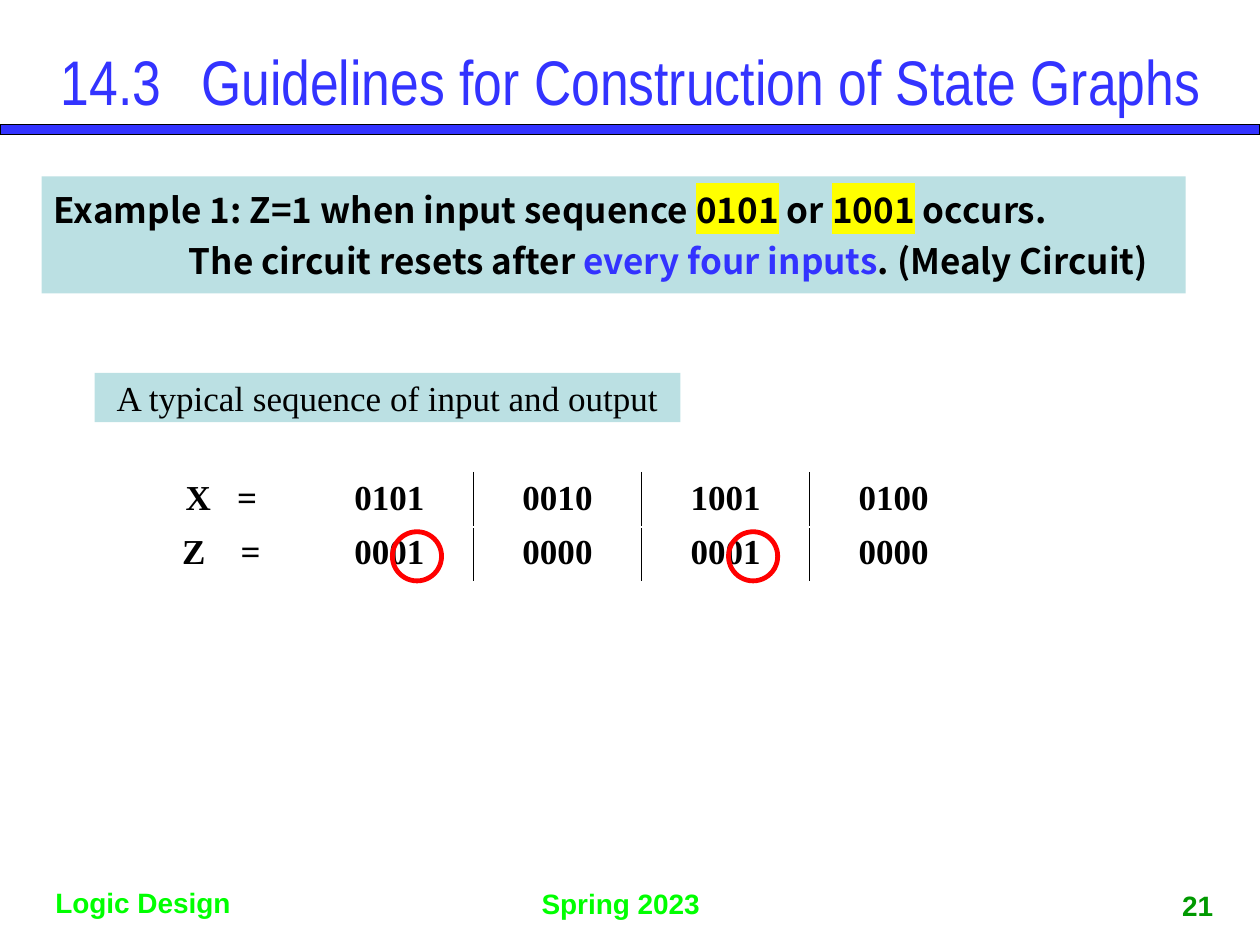
from lxml import etree
from pptx import Presentation
from pptx.dml.color import RGBColor
from pptx.enum import shapes, text
from pptx.oxml import ns
from pptx.util import Inches, Pt

BLUE = RGBColor(0x33, 0x33, 0xFF)
TEAL = RGBColor(0xBB, 0xE0, 0xE3)
BLACK = RGBColor(0, 0, 0)
RED = RGBColor(0xFF, 0, 0)
LIME = RGBColor(0, 0xFF, 0)
GREEN = RGBColor(0, 0x99, 0)
YELLOW = "FFFF00"
SERIF, SANS = "Times New Roman", "Arial"
LEFT, CENTER = text.PP_ALIGN.LEFT, text.PP_ALIGN.CENTER
TOP, MIDDLE, BOTTOM = (text.MSO_ANCHOR.TOP, text.MSO_ANCHOR.MIDDLE,
                       text.MSO_ANCHOR.BOTTOM)

# Content
TITLE = "14.3\t Guidelines for Construction of State Graphs"
EXAMPLE = [  # one list of (text, style) per line
    [("Example 1: Z=1 when input sequence ", None), ("0101", "mark"),
     (" or ", None), ("1001", "mark"), (" occurs.", None)],
    [("The circuit resets after ", None), ("every four inputs", "blue"),
     (". (Mealy Circuit)", None)],
]
CAPTION = "A typical sequence of input and output"
SEQUENCES = [
    ["X   =", "0101", "0010", "1001", "0100"],
    ["Z    =", "0001", "0000", "0001", "0000"],
]
HIT_COLUMNS = [1, 3]
FOOTERS = [  # text, box, alignment, anchor, colour
    ("Logic Design", (0.27, 6.98, 1.73, 0.37), CENTER, TOP, LIME),
    ("Spring 2023", (4.2, 6.99, 1.59, 0.37), LEFT, TOP, LIME),
    ("21", (9.13, 6.9, 0.75, 0.47), CENTER, BOTTOM, GREEN),
]
TABLE_X, TABLE_Y, COL_W, ROW_H = 1.09, 3.75, 1.334, 0.43
RING = 0.39


def inches(*values):
    return [Inches(v) for v in values]


def style(p, font, size, color, bold=False, align=LEFT):
    p.alignment = align
    p.font.name, p.font.size, p.font.bold = font, Pt(size), bold
    p.font.color.rgb = color


def add_shape(s, kind, box, fill=None, line=None, width=0.75):
    sp = s.shapes.add_shape(kind, *inches(*box))
    sp.shadow.inherit = False
    if fill is None:
        sp.fill.background()
    else:
        sp.fill.solid()
        sp.fill.fore_color.rgb = fill
    if line is None:
        sp.line.fill.background()
    else:
        sp.line.color.rgb, sp.line.width = line, Pt(width)
    return sp


def highlight(r, color):
    mark = etree.SubElement(r.font._element, ns.qn("a:highlight"))
    etree.SubElement(mark, ns.qn("a:srgbClr"), val=color)


def add_border(cell, side):
    ln = etree.Element(ns.qn("a:" + side), w=str(Pt(1)))
    fill = etree.SubElement(ln, ns.qn("a:solidFill"))
    etree.SubElement(fill, ns.qn("a:srgbClr"), val=str(BLACK))
    props = cell._tc.get_or_add_tcPr()
    position = len(props.findall(ns.qn("a:lnL")))
    props.insert(position, ln)


prs = Presentation()
prs.slide_width, prs.slide_height = inches(10, 7.5)
s = prs.slides.add_slide(prs.slide_layouts[5])

# Title and rule
add_shape(s, shapes.MSO_SHAPE.RECTANGLE, (0, 0.99, 10, 0.08), BLUE, BLACK)
title = s.shapes.title
title.left, title.top, title.width, title.height = inches(0.2, 0.36, 9.61, 0.55)
tf = title.text_frame
tf.text = TITLE
tf.auto_size, tf.vertical_anchor = text.MSO_AUTO_SIZE.NONE, MIDDLE
style(tf.paragraphs[0], "Arial Narrow", 36, BLUE, align=CENTER)

# Footer
for words, box, align, anchor, color in FOOTERS:
    tf = s.shapes.add_textbox(*inches(*box)).text_frame
    tf.word_wrap, tf.vertical_anchor = True, anchor
    tf.text = words
    style(tf.paragraphs[0], SANS, 16, color, True, align)

# Example statement
sp = add_shape(s, shapes.MSO_SHAPE.RECTANGLE, (0.33, 1.4, 9.08, 0.93), TEAL)
tf = sp.text_frame
tf.word_wrap, tf.vertical_anchor = True, MIDDLE
for i, line in enumerate(EXAMPLE):
    p = tf.add_paragraph() if i else tf.paragraphs[0]
    style(p, "Noto Sans CJK KR", 20, BLACK, True)
    if i:
        p.space_before = Pt(5)
        p._p.get_or_add_pPr().set("marL", str(Inches(1.07)))
    for words, kind in line:
        r = p.add_run()
        r.text = words
        if kind == "mark":
            highlight(r, YELLOW)
        elif kind == "blue":
            r.font.color.rgb = BLUE

# Sequence table, ruled between the groups of four
rows, cols = len(SEQUENCES), len(SEQUENCES[0])
table = s.shapes.add_table(rows, cols, *inches(
    TABLE_X, TABLE_Y, cols * COL_W, rows * ROW_H)).table
table.first_row = table.horz_banding = False
for i, row in enumerate(SEQUENCES):
    for j, words in enumerate(row):
        cell = table.cell(i, j)
        cell.text = words
        cell.fill.background()
        style(cell.text_frame.paragraphs[0], SERIF, 20, BLACK, True, CENTER)
        if j > 1:
            add_border(cell, "lnL")
        if 0 < j < cols - 1:
            add_border(cell, "lnR")

# Caption
sp = add_shape(s, shapes.MSO_SHAPE.RECTANGLE, (0.75, 2.96, 4.65, 0.39), TEAL)
tf = sp.text_frame
tf.word_wrap, tf.vertical_anchor = False, MIDDLE
tf.text = CAPTION
style(tf.paragraphs[0], SERIF, 20, BLACK, align=CENTER)

# Rings around the output ones
for j in HIT_COLUMNS:
    x = TABLE_X + j * COL_W + 0.69
    add_shape(s, shapes.MSO_SHAPE.OVAL, (x, 4.22, RING, RING), None, RED, 2.75)

prs.save("out.pptx")
